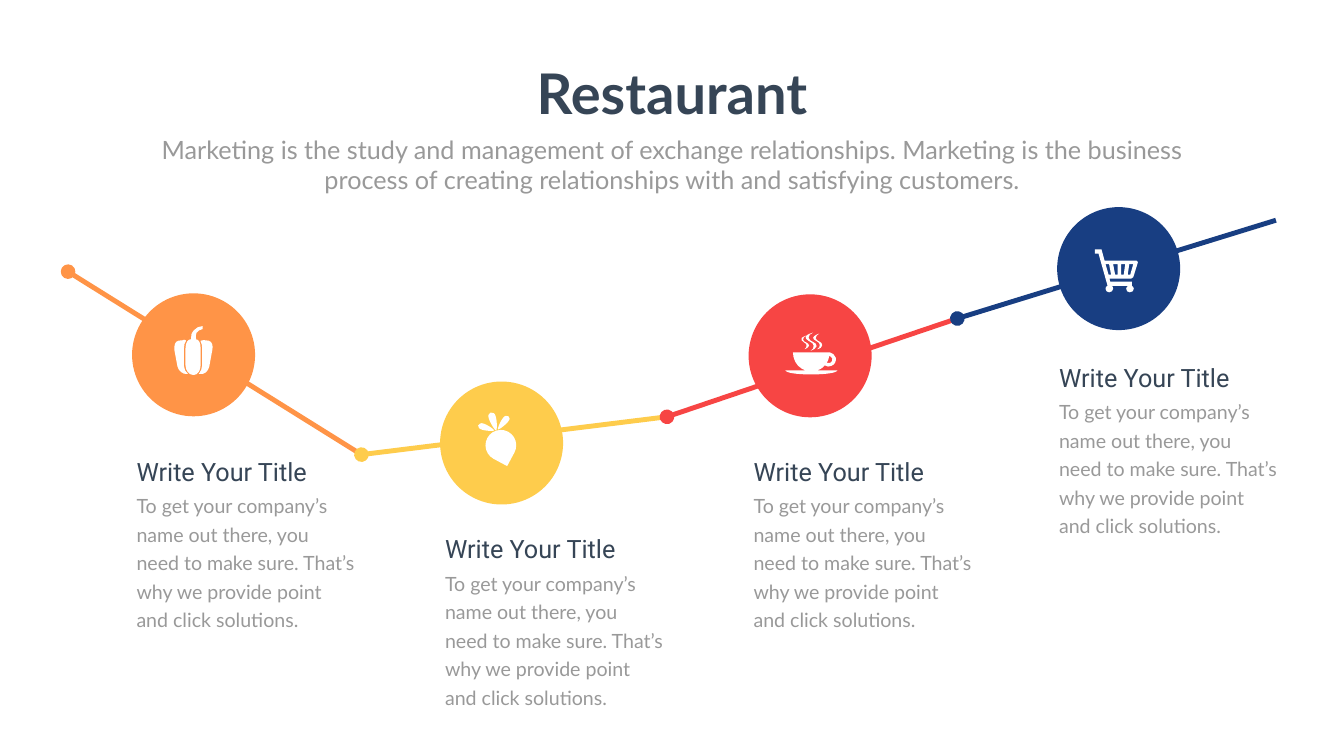
from dataclasses import dataclass

from lxml import etree
from pptx import Presentation
from pptx.dml.color import RGBColor
from pptx.enum.shapes import MSO_CONNECTOR, MSO_SHAPE
from pptx.enum.text import MSO_AUTO_SIZE, PP_ALIGN
from pptx.oxml.ns import qn
from pptx.util import Inches, Pt

STRAIGHT = MSO_CONNECTOR.STRAIGHT
OVAL, TEARDROP = MSO_SHAPE.OVAL, MSO_SHAPE.TEAR
FIT_TEXT = MSO_AUTO_SIZE.SHAPE_TO_FIT_TEXT
LEFT, CENTER = PP_ALIGN.LEFT, PP_ALIGN.CENTER


@dataclass(frozen=True)
class Theme:
    orange: str = "FF9447"
    yellow: str = "FECC4C"
    red: str = "F74544"
    blue: str = "183E82"
    white: str = "FFFFFF"
    dark: str = "364556"
    gray: str = "999999"
    body_font: str = "Lato"
    heading_font: str = "Roboto"
    title_size: int = 80
    heading_size: int = 36
    body_size: int = 28
    body_leading: float = 40.8
    line_width: int = 7


@dataclass(frozen=True)
class Step:
    color: str
    left: float
    top: float
    caption_left: float
    caption_top: float
    icon: tuple


THEME = Theme()
DISC = 2.44
BODY_TEXT = ("To get your company’s name out there, you need to make sure. "
             "That’s why we provide point and click solutions.")
SUBTITLE = ("Marketing is the study and management of exchange relationships. "
            "Marketing is the business process of creating relationships with "
            "and satisfying customers.")

PEPPER = (
    ("106,109 106,99,110,91,117,91 126,91 133,91,136,99,136,109 136,143 "
     "136,153,130,162,123,162 121,162 113,162,106,153,106,143",),
    ("117,91 116,85,118,78,123,73 127,68,134,65,140,65 140,71 "
     "135,71,131,75,128,78 125,81,127,87,127,91 125,92,120,91,117,91",),
    ("103,92 104,93,105,93,106,93 107,94 104,98,103,103,103,109 103,144 "
     "103,150,106,156,110,159 111,160 109,160 101,161,92,154,90,145 84,113 "
     "83,104,85,95,92,94 101,93 102,92,103,92,103,92",),
    ("141,93 141,92,142,92,143,93 152,94 159,96,161,104,159,113 153,146 "
     "151,155,142,162,135,160 135,160,134,159,134,160 132,159 133,159 "
     "136,155,139,149,139,143 139,109 139,104,138,99,136,96 136,94 "
     "137,93,139,93,141,93",),
)
BEET_LEAVES = (
    ("96,66 98,61,102,60,107,63 113,67,114,96,111,97 109,98,93,73,96,66",),
    ("130,68 135,67,138,70,138,74 137,81,117,96,115,95 113,93,123,70,130,68",),
    ("80,83 75,85,74,89,77,92 81,98,106,99,107,97 108,95,86,80,80,83",),
)
CUP = ((
    "160,122 159,127,158,132,155,136 157,137,159,137,162,136 "
    "165,135,167,131,166,128 165,125,163,123,160,122",
    "161,115 166,116,171,120,173,126 174,133,171,140,164,142 "
    "160,144,155,144,151,141 149,144,146,146,143,148 141,149,139,150,136,151 "
    "176,151 175,156,152,159,124,159 97,159,74,156,73,151 113,151 "
    "110,150,108,149,106,148 94,141,88,128,88,115",
    "114,82 110,85,108,86,108,90 109,96,120,95,120,102 118,106,116,107,111,109 "
    "114,106,115,105,115,101 115,96,107,96,105,91 102,88,106,85,114,82",
    "140,78 136,82,133,82,133,87 134,94,147,93,146,101 145,106,143,107,136,109 "
    "140,106,142,104,141,100 141,94,133,94,129,89 126,85,131,81,140,78",
    "128,76 122,80,119,80,119,86 120,95,136,94,135,103 133,108,130,109,123,112 "
    "128,109,129,107,129,102 129,95,118,94,114,88 111,83,116,79,128,76",
),)
CART = ((
    "143,113 140,134 145,134 151,113",
    "127,113 127,134 132,134 135,113",
    "111,113 115,134 120,134 120,113",
    "96,113 102,134 107,134 103,113",
    "88,84 94,106 157,106 159,106,160,109,160,110 151,139 "
    "151,140,150,141,148,141 147,142 104,142 105,148 148,148 148,156 "
    "150,157,152,159,152,162 152,166,149,169,144,169 140,169,137,166,137,162 "
    "137,159,139,157,141,156 108,156 110,157,111,159,111,162 "
    "111,166,107,169,103,169 99,169,96,166,96,162 96,159,97,157,100,156 "
    "82,92 75,92 75,84 87,84",
),)

STEPS = (
    Step(THEME.orange, 2.62, 5.82, 2.61, 9, PEPPER),
    Step(THEME.yellow, 8.73, 7.57, 8.73, 10.54, BEET_LEAVES),
    Step(THEME.red, 14.85, 5.84, 14.85, 9, CUP),
    Step(THEME.blue, 20.97, 4.11, 20.91, 7.14, CART),
)
ROUTE = ((1.35, 5.39), (7.17, 9.02), (13.23, 8.27), (18.99, 6.32), (25.31, 4.37))


def paint(shape, color):
    shape.shadow.inherit = False
    shape.fill.solid()
    shape.fill.fore_color.rgb = RGBColor.from_string(color)
    shape.line.fill.background()


def add_preset(page, kind, left, top, size, color):
    shape = page.shapes.add_shape(kind, Inches(left), Inches(top), Inches(size), Inches(size))
    paint(shape, color)
    return shape


def add_text(page, box, text, font, size, color, align=LEFT, bold=False, leading=None, wrap=True):
    text_box = page.shapes.add_textbox(*(Inches(length) for length in box))
    frame = text_box.text_frame
    frame.word_wrap = wrap
    frame.auto_size = FIT_TEXT
    para = frame.paragraphs[0]
    para.alignment = align
    if leading:
        para.line_spacing = Pt(leading)
    span = para.add_run()
    span.text = text
    span.font.name = font
    span.font.size = Pt(size)
    span.font.bold = bold
    span.font.color.rgb = RGBColor.from_string(color)


def read_segments(contour, left, top):
    segments = []
    for group in contour.split():
        values = [int(value) / 100 for value in group.split(",")]
        segments.append([(Inches(left + x), Inches(top + y))
                         for x, y in zip(values[::2], values[1::2])])
    return segments


def bend_curves(shape, segments):
    lines = iter(list(shape._element.iter(qn("a:lnTo"))))
    for segment in segments:
        parts = [next(lines) for _ in segment]
        if len(parts) == 1:
            continue
        curve = etree.Element(qn("a:cubicBezTo"))
        parts[0].addprevious(curve)
        for part in parts:
            curve.append(part[0])
            part.getparent().remove(part)


def add_icon(page, icon, left, top):
    for contours in icon:
        outlines = [read_segments(contour, left, top) for contour in contours]
        builder = page.shapes.build_freeform(*outlines[0][0][0])
        for number, (start, *segments) in enumerate(outlines):
            if number:
                builder.move_to(*start[0])
            builder.add_line_segments([point for segment in segments for point in segment])
        shape = builder.convert_to_shape()
        bend_curves(shape, [segment for outline in outlines for segment in outline[1:]])
        paint(shape, THEME.white)


def add_route(page, points):
    for step, start, end in zip(STEPS, points, points[1:]):
        line = page.shapes.add_connector(STRAIGHT, *(Inches(value) for value in start + end))
        line.line.color.rgb = RGBColor.from_string(step.color)
        line.line.width = Pt(THEME.line_width)
        outline = line.line._get_or_add_ln()
        etree.SubElement(outline, qn("a:headEnd"), type="oval")
        etree.SubElement(line._element.spPr, qn("a:effectLst"))


def add_step(page, step):
    add_preset(page, OVAL, step.left, step.top, DISC, step.color)
    if step.icon is BEET_LEAVES:
        root = add_preset(page, TEARDROP, step.left + 0.9, step.top + 0.96, 0.61, THEME.white)
        root.rotation = 118.2
    add_icon(page, step.icon, step.left, step.top)
    left, top = step.caption_left, step.caption_top
    add_text(page, (left, top + 0.65, 4.54, 2.92), BODY_TEXT, THEME.body_font,
             THEME.body_size, THEME.gray, leading=THEME.body_leading)
    add_text(page, (left, top, 5.72, 0.71), "Write Your Title", THEME.heading_font,
             THEME.heading_size, THEME.dark)


def add_header(page, left, top, width):
    add_text(page, (left + width / 2 - 2.9, top, 5.8, 1.45), "Restaurant", THEME.body_font,
             THEME.title_size, THEME.dark, CENTER, bold=True, wrap=False)
    add_text(page, (left, top + 1.49, width, 1.31), SUBTITLE, THEME.body_font,
             THEME.heading_size, THEME.gray, CENTER)


def main():
    deck = Presentation()
    deck.slide_width, deck.slide_height = Inches(26.66), Inches(15)
    page = deck.slides.add_slide(deck.slide_layouts[6])
    add_route(page, ROUTE)
    for step in STEPS:
        add_step(page, step)
    add_header(page, 2.92, 1.12, 20.82)
    deck.save("out.pptx")


if __name__ == "__main__":
    main()
